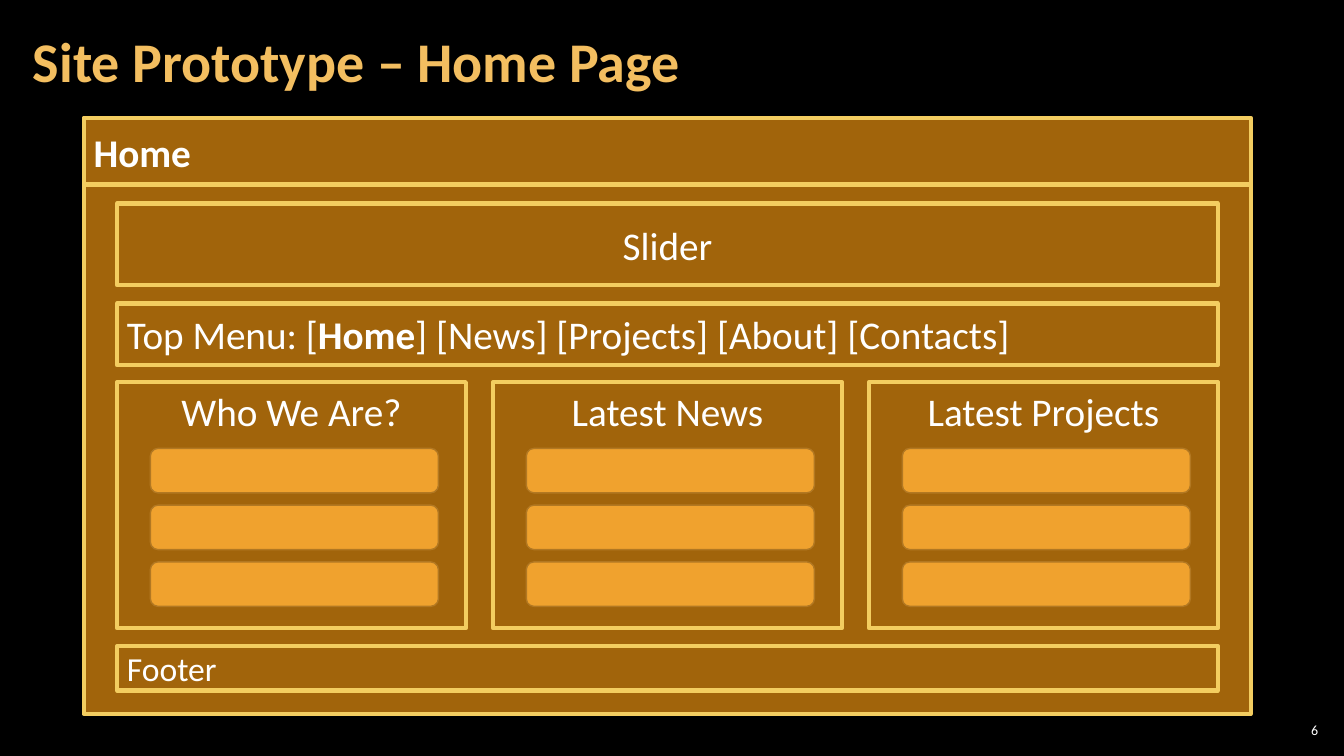
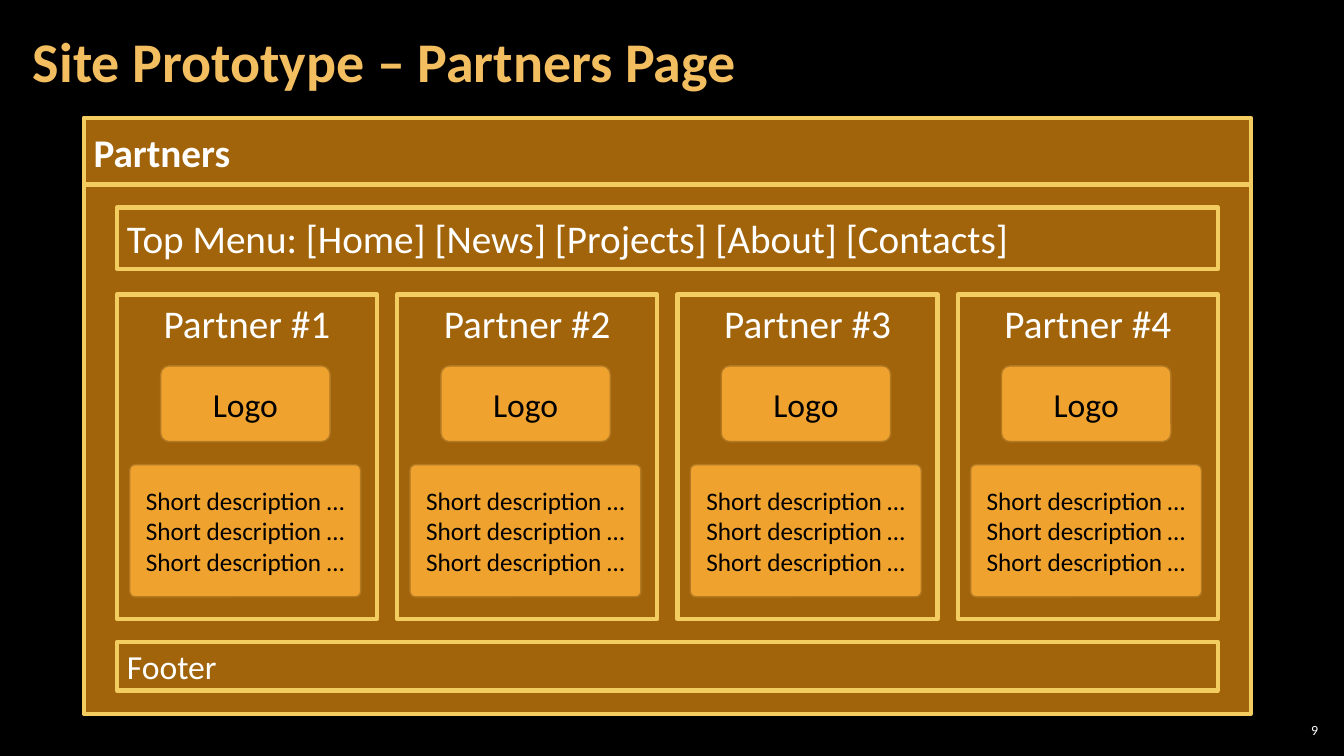
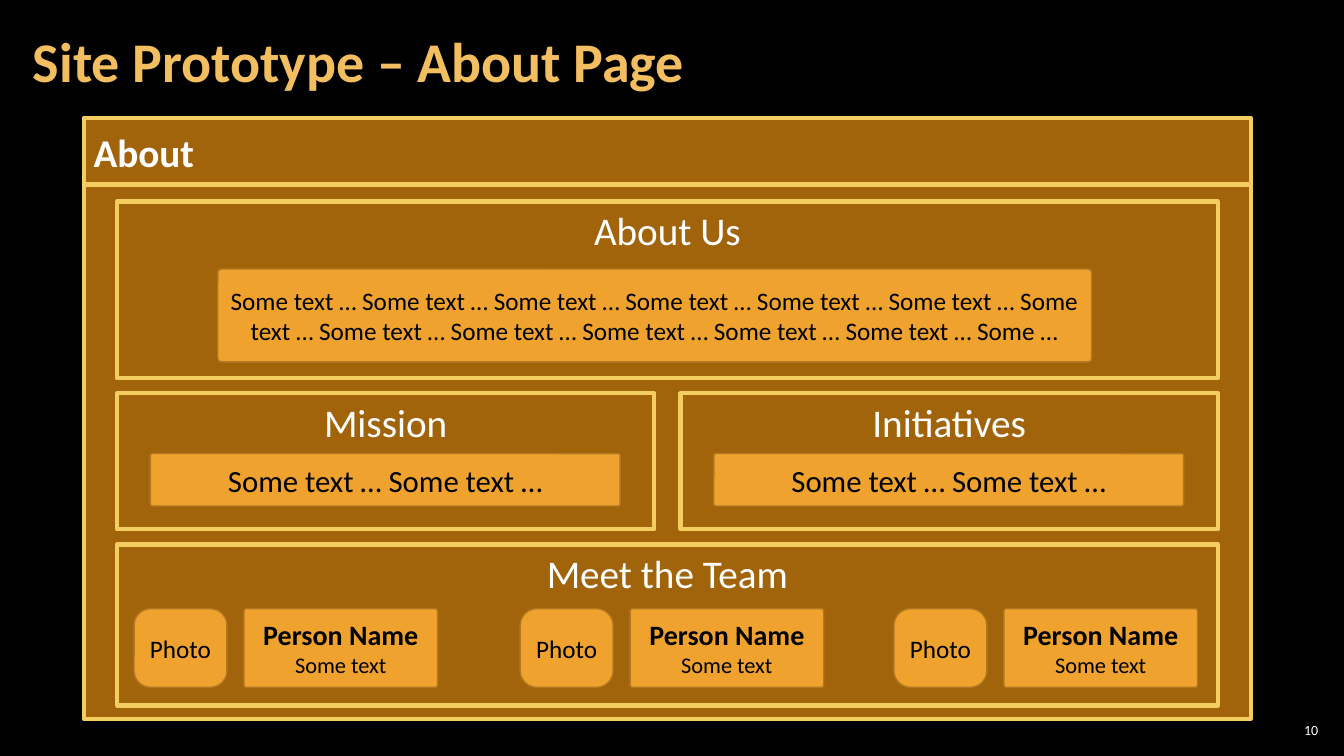
from pptx import Presentation
from pptx.dml.color import RGBColor
from pptx.enum import shapes, text
from pptx.util import Cm, Pt

# Content: a text is a string (one paragraph per line) or a list of
# paragraphs, each a list of (words, format) runs
HOME = {
    "number": "6", "title": "Site Prototype – Home Page", "header": "Home",
    "menu": [[("Top Menu: [", {}), ("Home", {"bold": True}),
              ("] [News] [Projects] [About] [Contacts]", {})]],
    "columns": ["Who We Are?", "Latest News", "Latest Projects"],
}
PARTNERS = {
    "number": "9", "title": "Site Prototype – Partners Page", "header": "Partners",
    "menu": "Top Menu: [Home] [News] [Projects] [About] [Contacts]",
    "cards": ["Partner #1", "Partner #2", "Partner #3", "Partner #4"],
    "description": "\n".join(["Short description …"] * 3),
}
ABOUT = {
    "number": "10", "title": "Site Prototype – About Page", "header": "About",
    "about": "Some text … " * 12 + "Some …",
    "halves": ["Mission", "Initiatives"],
    "half_text": "Some text … Some text …",
    "person": [[("Person Name", {"size": 20, "bold": True})],
               [("Some text", {"size": 16})]],
}

# Shared style and grid, in centimetres
FONT = "Calibri"
BLACK, WHITE, TITLE = "000000", "FFFFFF", "F3BE60"
BROWN, YELLOW, ORANGE, RUST = "A1640B", "F3CD60", "F0A22E", "B27822"
FRAME_X, FRAME_W = 2.11, 29.41
X, W = 2.95, 27.74
LEFT, CENTER, RIGHT = text.PP_ALIGN.LEFT, text.PP_ALIGN.CENTER, text.PP_ALIGN.RIGHT
TOP, MIDDLE = text.MSO_ANCHOR.TOP, text.MSO_ANCHOR.MIDDLE

prs = Presentation()
prs.slide_width, prs.slide_height = Cm(33.87), Cm(19.05)


def rgb(value):
    return RGBColor.from_string(value)


def paint(fill, color):
    fill.solid()
    fill.fore_color.rgb = rgb(color)


def write(sp, content, size=28, color=WHITE, bold=False, align=CENTER,
          anchor=MIDDLE, inset=None, spacing=None):
    tf = sp.text_frame
    tf.word_wrap = True
    tf.vertical_anchor = anchor
    if inset:
        tf.margin_left = tf.margin_right = Cm(inset)
        tf.margin_top = tf.margin_bottom = Cm(0.1)
    if isinstance(content, str):
        content = [[(line, {})] for line in content.split("\n")]
    for i, runs in enumerate(content):
        p = tf.add_paragraph() if i else tf.paragraphs[0]
        p.alignment = align
        if spacing:
            p.line_spacing = spacing
        for words, fmt in runs:
            r = p.add_run()
            r.text = words
            r.font.name = FONT
            r.font.size = Pt(fmt.get("size", size))
            r.font.bold = fmt.get("bold", bold)
            r.font.color.rgb = rgb(color)


def block(s, box, kind, fill, line, width):
    sp = s.shapes.add_shape(kind, *map(Cm, box))
    sp.shadow.inherit = False
    paint(sp.fill, fill)
    sp.line.color.rgb = rgb(line)
    sp.line.width = Pt(width)
    return sp


def panel(s, x, y, w, h, content=None, **fmt):
    sp = block(s, (x, y, w, h), shapes.MSO_SHAPE.RECTANGLE, BROWN, YELLOW, 3)
    if content:
        write(sp, content, **fmt)


def chip(s, x, y, w, h, content=None, size=18, corner=0.17):
    sp = block(s, (x, y, w, h), shapes.MSO_SHAPE.ROUNDED_RECTANGLE, ORANGE, RUST, 1)
    sp.adjustments[0] = corner
    if content:
        write(sp, content, size=size, color=BLACK)


def label(s, x, y, w, h, content, **fmt):
    write(s.shapes.add_textbox(*map(Cm, (x, y, w, h))), content, **fmt)


def page(data, body_h=13.34):
    s = prs.slides.add_slide(prs.slide_layouts[6])
    label(s, 32.13, 18.14, 1.19, 0.53, data["number"], size=10, align=RIGHT, inset=0.1)
    label(s, 0.53, 0.1, 26.59, 3.07, data["title"], size=40, color=TITLE,
          bold=True, align=LEFT, inset=0.3, spacing=0.9)
    panel(s, FRAME_X, 2.97, FRAME_W, 1.7, data["header"], bold=True, align=LEFT)
    panel(s, FRAME_X, 4.65, FRAME_W, body_h)
    return s


def menu(s, y, content):
    panel(s, X, y, W, 1.55, content, align=LEFT)


def footer(s, y, h):
    panel(s, X, y, W, h, "Footer", size=24, align=LEFT)


def row(s, y, w, h, headings):
    """Draw headed panels spread evenly over the width; yield each left edge."""
    pitch = (W - w) / (len(headings) - 1)
    for i, heading in enumerate(headings):
        x = X + i * pitch
        panel(s, x, y, w, h, heading, anchor=TOP)
        yield x


def home_page(data):
    s = page(data)
    panel(s, X, 5.13, W, 2.06, "Slider")
    menu(s, 7.65, data["menu"])
    footer(s, 16.28, 1.12)
    for x in row(s, 9.63, 8.79, 6.2, data["columns"]):
        for i in range(3):
            chip(s, x + 0.84, 11.3 + i * 1.43, 7.26, 1.12)


def partners_page(data):
    s = page(data)
    menu(s, 5.23, data["menu"])
    footer(s, 16.18, 1.22)
    for x in row(s, 7.42, 6.55, 8.18, data["cards"]):
        chip(s, x + 1.1, 9.22, 4.27, 1.91, "Logo", size=24, corner=0.11)
        chip(s, x + 0.32, 11.71, 5.82, 3.33, data["description"], corner=0.04)


def about_page(data):
    s = page(data, body_h=13.46)
    panel(s, X, 5.08, W, 4.45, "About Us", anchor=TOP)
    chip(s, 5.49, 6.78, 22.02, 2.34, data["about"], corner=0.04)
    for x in row(s, 9.91, 13.54, 3.43, data["halves"]):
        chip(s, x + 0.84, 11.43, 11.84, 1.32, data["half_text"], size=22, corner=0.04)
    # Team
    panel(s, X, 13.72, W, 4.06, "Meet the Team", anchor=TOP)
    for x in (3.38, 13.11, 22.53):
        chip(s, x, 15.34, 2.34, 1.98, "Photo", corner=0.21)
        chip(s, x + 2.77, 15.34, 4.88, 1.98, data["person"], corner=0.03)


paint(prs.slide_master.background.fill, BLACK)
home_page(HOME)
partners_page(PARTNERS)
about_page(ABOUT)
prs.save("out.pptx")
